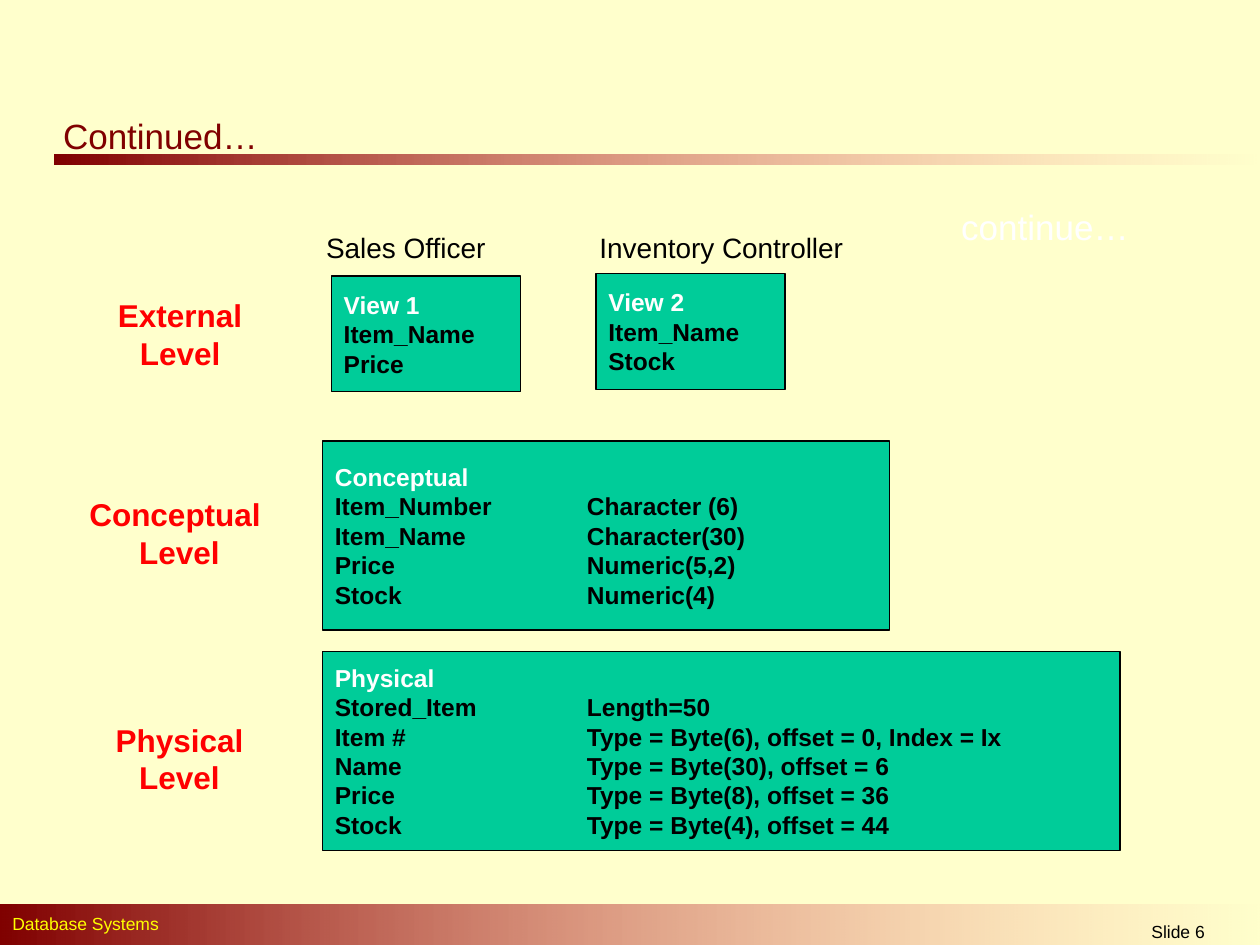
from lxml import etree
from pptx import Presentation
from pptx import util as u
from pptx.dml.color import RGBColor
from pptx.enum import shapes, text
from pptx.oxml.ns import qn

# The slide is a grid of 100 columns by 75 rows
WIDTH, HEIGHT = u.Inches(10), u.Inches(7.5)
COLUMN, ROW = WIDTH / 100, HEIGHT / 75
TAB_COLUMNS = 20
COLORS = {
    "page": "FFFFCC", "maroon": "800000", "fade": "FF8585", "box": "00CC99",
    "label": "FF0000", "footer": "FFFF00", "black": "000000", "white": "FFFFFF",
}


def color(name):
    return RGBColor.from_string(COLORS[name])


def area(left, top, width, height):
    """Turn grid columns and rows into lengths."""
    return [round(n) for n in (left * COLUMN, top * ROW, width * COLUMN, height * ROW)]


def write(shape, lines, size=14, ink="black", first_ink=None, bold=False,
          align=text.PP_ALIGN.LEFT, anchor=text.MSO_ANCHOR.TOP):
    """Write one paragraph per line; first_ink colours the heading line."""
    frame = shape.text_frame
    frame.word_wrap = True
    frame.vertical_anchor = anchor
    for index, line in enumerate(lines):
        para = frame.paragraphs[0] if index == 0 else frame.add_paragraph()
        para.alignment = align
        span = para.add_run()
        span.text = line
        span.font.name = "Arial"
        span.font.size = u.Pt(size)
        span.font.bold = bold
        span.font.color.rgb = color(first_ink if first_ink and index == 0 else ink)
        if "\t" in line:
            stops = etree.SubElement(para._p.get_or_add_pPr(), qn("a:tabLst"))
            etree.SubElement(stops, qn("a:tab"), pos=str(round(TAB_COLUMNS * COLUMN)), algn="l")


def add_text(page, place, lines, **style):
    write(page.shapes.add_textbox(*area(*place)), lines, **style)


def add_rectangle(page, place):
    shape = page.shapes.add_shape(shapes.MSO_SHAPE.RECTANGLE, *area(*place))
    shape.shadow.inherit = False
    return shape


def add_fading_bar(page, place):
    bar = add_rectangle(page, place)
    bar.line.fill.background()
    bar.fill.gradient()
    bar.fill.gradient_angle = 0
    for stop, name in zip(bar.fill.gradient_stops, ("maroon", "fade")):
        stop.color.rgb = color(name)
    # The right end is fully transparent
    last = bar._element.spPr.findall(".//" + qn("a:srgbClr"))[-1]
    etree.SubElement(last, qn("a:alpha"), val="0")


def add_record(page, place, lines):
    box = add_rectangle(page, place)
    box.fill.solid()
    box.fill.fore_color.rgb = color("box")
    box.line.color.rgb = color("black")
    box.line.width = u.Pt(0.75)
    write(box, lines, first_ink="white", bold=True, anchor=text.MSO_ANCHOR.MIDDLE)


def add_title(page, place, words):
    title = page.shapes.title
    title.left, title.top, title.width, title.height = area(*place)
    write(title, [words], size=20, ink="maroon", anchor=text.MSO_ANCHOR.MIDDLE)


def main():
    deck = Presentation()
    deck.slide_width, deck.slide_height = WIDTH, HEIGHT
    page = deck.slides.add_slide(deck.slide_layouts[5])
    page.background.fill.solid()
    page.background.fill.fore_color.rgb = color("page")

    # Title and footer bars
    add_fading_bar(page, (4.3, 12.3, 95.7, 0.8))
    add_fading_bar(page, (0, 71.8, 100.3, 3.5))
    add_text(page, (0, 72, 64, 2.7), ["Database Systems"], size=10, ink="footer")
    add_text(page, (83.1, 72.6, 20.8, 2.4), ["Slide 6"], size=10,
             align=text.PP_ALIGN.CENTER)
    add_title(page, (4, 7.6, 19.3, 6.3), "Continued…")
    add_text(page, (75.3, 15.8, 16, 4.4), ["continue…"], size=20, ink="white")

    # Level names
    for place, name in (
        ((8.1, 23, 12.4, 7), "External"),
        ((6.1, 38.8, 16.3, 7), "Conceptual "),
        ((7.9, 56.7, 12.7, 7), "Physical"),
    ):
        add_text(page, place, [name, "Level"], size=18, ink="label", bold=True,
                 align=text.PP_ALIGN.CENTER)

    # Users of the external views
    add_text(page, (24.9, 17.8, 15, 3.7), ["Sales Officer"], size=16)
    add_text(page, (46.6, 17.8, 22, 3.7), ["Inventory Controller"], size=16)

    # Records of each level
    add_record(page, (26.3, 21.9, 15, 9.2), ["View 1", "Item_Name", "Price"])
    add_record(page, (47.3, 21.7, 15, 9.2), ["View 2", "Item_Name", "Stock"])
    add_record(page, (25.6, 35, 45, 15), [
        "Conceptual",
        "Item_Number\tCharacter (6)",
        "Item_Name\tCharacter(30)",
        "Price\tNumeric(5,2)",
        "Stock\tNumeric(4)",
    ])
    add_record(page, (25.6, 51.7, 63.3, 15.8), [
        "Physical",
        "Stored_Item\tLength=50",
        "Item #\tType = Byte(6), offset = 0, Index = Ix",
        "Name\tType = Byte(30), offset = 6",
        "Price\tType = Byte(8), offset = 36",
        "Stock\tType = Byte(4), offset = 44",
    ])

    deck.save("out.pptx")


if __name__ == "__main__":
    main()
